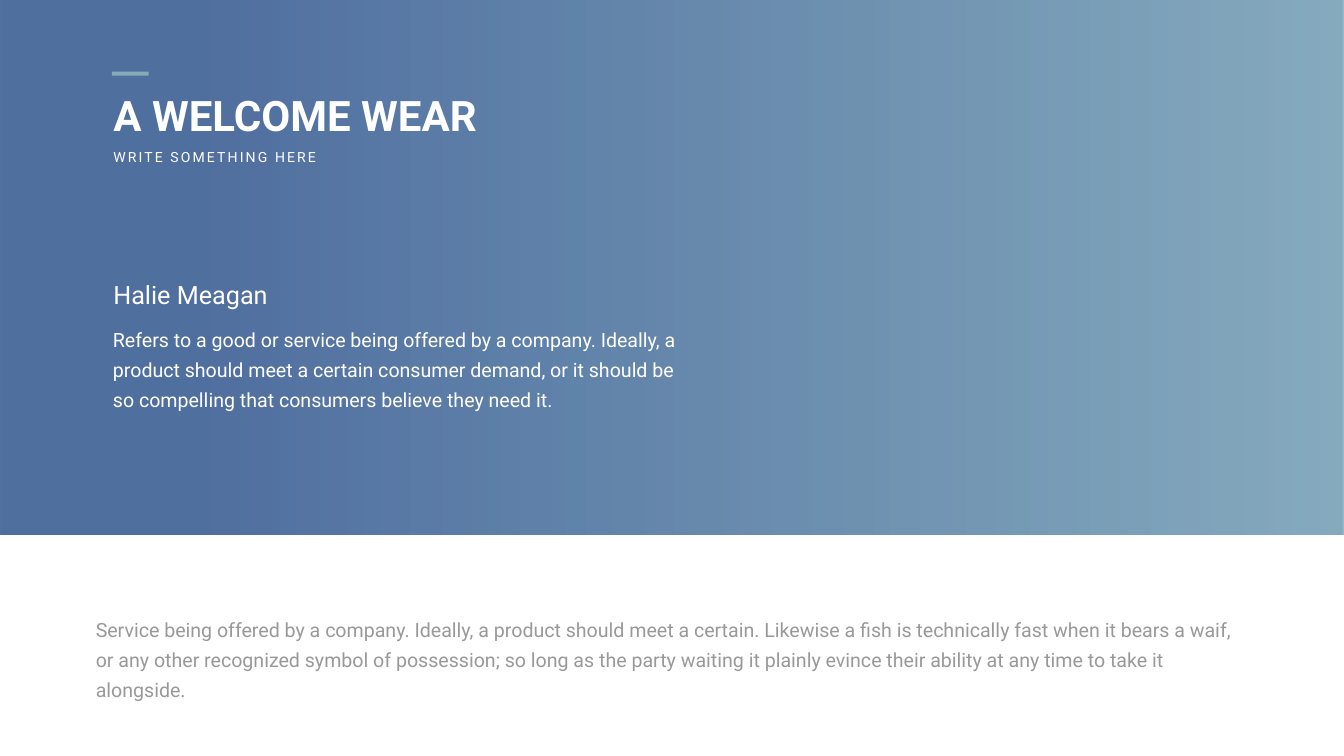
from lxml import etree
from pptx import Presentation
from pptx import util as u
from pptx.dml.color import RGBColor
from pptx.enum import shapes, text
from pptx.oxml.ns import qn

WIDTH, HEIGHT = 26.66, 15
BANNER_HEIGHT = 10.61
WHITE = RGBColor(0xFF, 0xFF, 0xFF)
GREY = RGBColor(0x99, 0x99, 0x99)
NAVY = RGBColor(0x26, 0x4D, 0x89)
TEAL = RGBColor(0x69, 0x97, 0xAF)
SAGE = RGBColor(0x84, 0xAC, 0xB6)
FONT = "Roboto"
BODY = dict(size=28, line=43, inset=(0.24, 0.12))


def add_text(page, place, words, size=28, color=WHITE, bold=False, line=None,
             inset=(0.1, 0.05), wrap=True, tracking=None):
    box = page.shapes.add_textbox(*(u.Inches(value) for value in place))
    frame = box.text_frame
    frame.word_wrap = wrap
    frame.auto_size = text.MSO_AUTO_SIZE.SHAPE_TO_FIT_TEXT
    frame.margin_left = frame.margin_right = u.Inches(inset[0])
    frame.margin_top = frame.margin_bottom = u.Inches(inset[1])
    para = frame.paragraphs[0]
    if line:
        para.line_spacing = u.Pt(line)
    span = para.add_run()
    span.text = words
    span.font.name = FONT
    span.font.size = u.Pt(size)
    span.font.bold = bold
    span.font.color.rgb = color
    if tracking:
        span._r.get_or_add_rPr().set("spc", str(tracking * 100))


def add_rectangle(page, place):
    box = page.shapes.add_shape(shapes.MSO_SHAPE.RECTANGLE,
                                *(u.Inches(value) for value in place))
    box.shadow.inherit = False
    box.line.fill.background()
    return box


def add_banner(page, left, top, width, height):
    # Translucent gradient, dark at the left
    banner = add_rectangle(page, (left, top, width, height))
    banner.fill.gradient()
    banner.fill.gradient_angle = 0
    stops = banner.fill.gradient_stops
    for stop, position, color in zip(stops, (0.15, 1), (NAVY, TEAL)):
        stop.position = position
        stop.color.rgb = color
    for tint in banner._element.spPr.iter(qn("a:srgbClr")):
        etree.SubElement(tint, qn("a:alpha")).set("val", "80000")

    # Heading with its accent bar
    indent = left + 2.15
    accent = add_rectangle(page, (left + 2.22, top + 1.42, 0.73, 0.08))
    accent.fill.solid()
    accent.fill.fore_color.rgb = SAGE
    add_text(page, (indent, top + 1.73, 7.53, 1.11), "A WELCOME WEAR",
             size=60, bold=True)
    add_text(page, (indent, top + 2.89, 4.35, 0.44), "WRITE SOMETHING HERE",
             size=20, wrap=False, tracking=3)

    # Name and description
    add_text(page, (indent, top + 5.5, 5.67, 0.71), "Halie Meagan", size=36)
    add_text(page, (left + 2, top + 6.26, 11.67, 2),
             "Refers to a good or service being offered by a company. Ideally, "
             "a product should meet a certain consumer demand, or it should be "
             "so compelling that consumers believe they need it.", **BODY)


def add_footer(page, left, top, width, height):
    margin = 1.66
    add_text(page, (left + margin, top + 1.4, width - 2 * margin, 1.39),
             "Service being offered by a company. Ideally, a product should "
             "meet a certain. Likewise a fish is technically fast when it "
             "bears a waif, or any other recognized symbol of possession; so "
             "long as the party waiting it plainly evince their ability at "
             "any time to take it alongside.", color=GREY, **BODY)


def main():
    deck = Presentation()
    deck.slide_width = u.Inches(WIDTH)
    deck.slide_height = u.Inches(HEIGHT)
    page = deck.slides.add_slide(deck.slide_layouts[6])
    page.background.fill.solid()
    page.background.fill.fore_color.rgb = WHITE
    add_banner(page, 0, 0, WIDTH, BANNER_HEIGHT)
    add_footer(page, 0, BANNER_HEIGHT, WIDTH, HEIGHT - BANNER_HEIGHT)
    deck.save("out.pptx")


if __name__ == "__main__":
    main()
